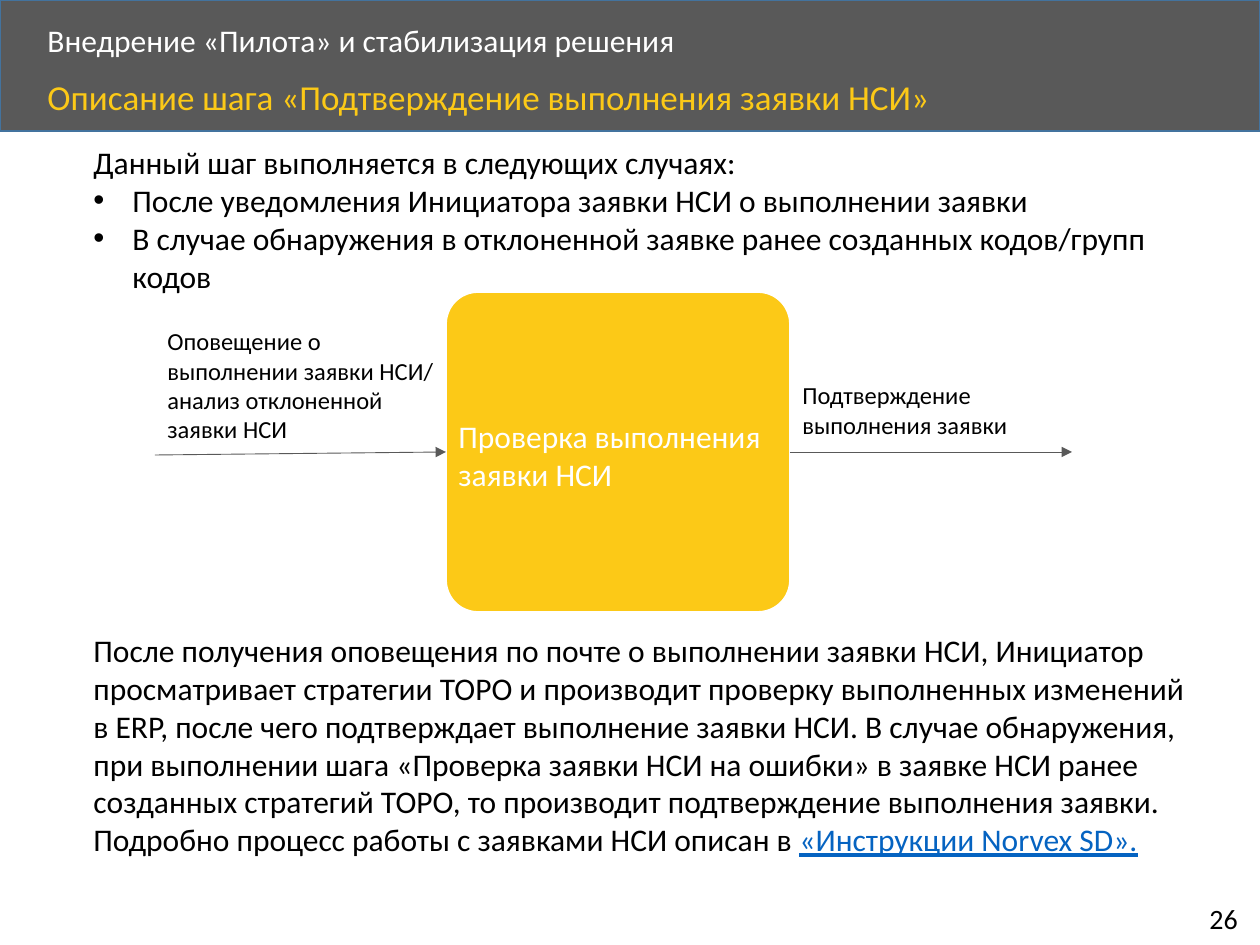
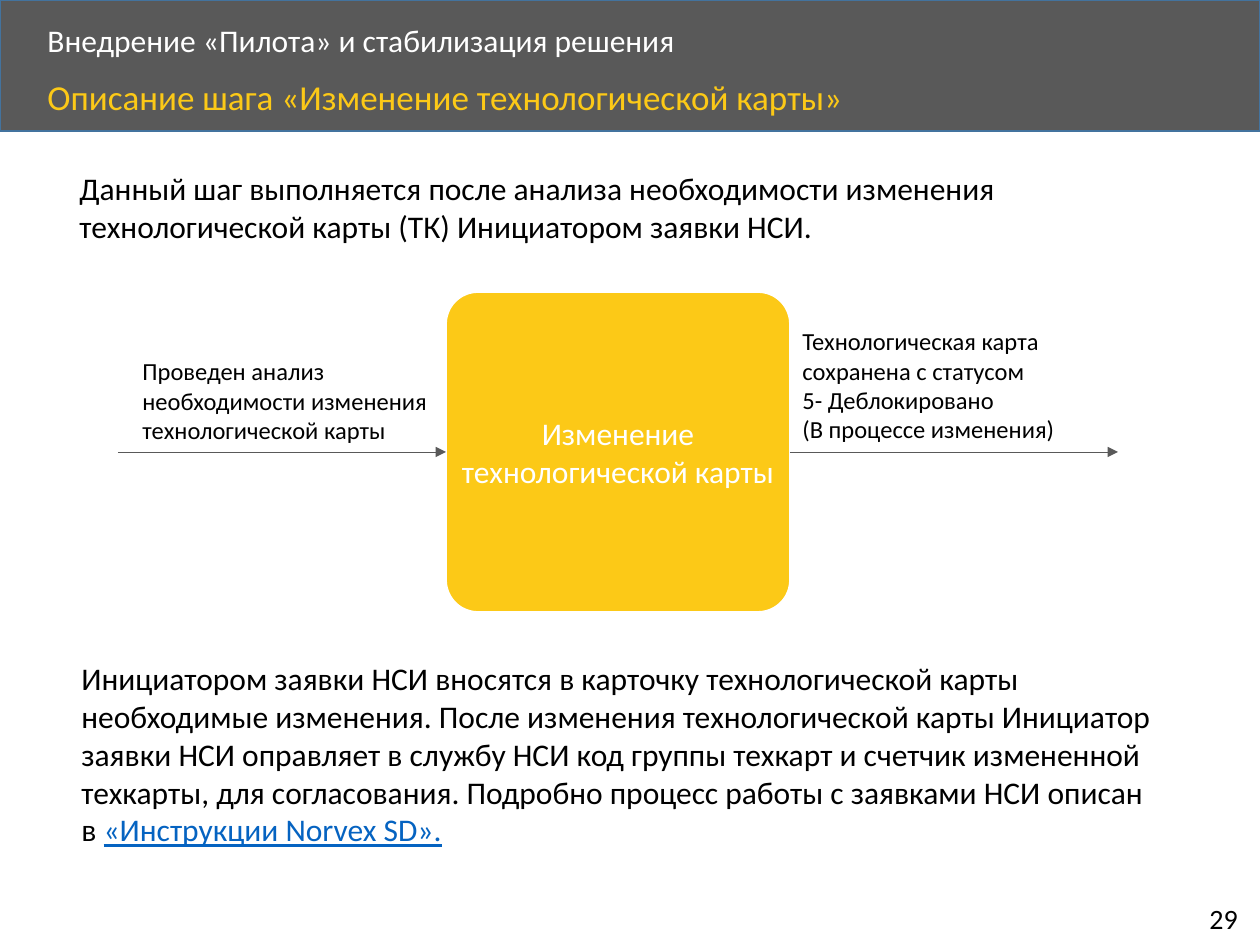
from lxml import etree
from pptx import Presentation
from pptx import util as u
from pptx.dml.color import RGBColor
from pptx.enum import shapes, text
from pptx.oxml.ns import qn

COLOURS = {
    "band": "595959", "band_edge": "43739E", "accent": "FCC917",
    "white": "FFFFFF", "black": "000000", "link": "0563C1",
}
FONT = "Calibri"
EMU_PER_PX = 914400 / 126
STEP_LEFT, STEP_TOP, STEP_WIDTH, STEP_HEIGHT = 446, 292, 344, 320
STEP_RIGHT = STEP_LEFT + STEP_WIDTH
STEP_MIDDLE = STEP_TOP + STEP_HEIGHT // 2
SECTION = "Внедрение «Пилота» и стабилизация решения"
GUIDE = ("«Инструкции Norvex SD».", "link")


def px(value):
    return u.Emu(round(value * EMU_PER_PX))


def colour(name):
    return RGBColor.from_string(COLOURS[name])


class Builder:
    def __init__(self):
        self.deck = Presentation()
        self.deck.slide_width, self.deck.slide_height = px(1260), px(945)
        self.page = None

    def new_page(self, heading, number):
        self.page = self.deck.slides.add_slide(self.deck.slide_layouts[6])
        self.shape(shapes.MSO_SHAPE.RECTANGLE, 0, 0, 1260, 131, "band", "band_edge")
        self.label(35, 18, 1017, 48, [SECTION], ink="white", middle=True, spacing=0.9)
        self.label(1197, 895, 58, 47, [number], size=16, wrap=False)
        self.label(35, 74, 1092, 57, [heading], size=20, ink="accent", spacing=0.9)

    def shape(self, kind, left, top, width, height, fill, edge):
        shape = self.page.shapes.add_shape(kind, px(left), px(top), px(width), px(height))
        shape.shadow.inherit = False
        shape.fill.solid()
        shape.fill.fore_color.rgb = colour(fill)
        shape.line.color.rgb = colour(edge)
        shape.line.width = u.Pt(1)
        return shape

    def label(self, left, top, width, height, paras, size=18, ink="black",
              middle=False, centred=False, spacing=None, wrap=True, bullets_from=None):
        box = self.page.shapes.add_textbox(px(left), px(top), px(width), px(height))
        frame = box.text_frame
        frame.word_wrap = wrap
        anchor = text.MSO_ANCHOR
        frame.vertical_anchor = anchor.MIDDLE if middle else anchor.TOP
        for index, content in enumerate(paras):
            para = frame.add_paragraph() if index else frame.paragraphs[0]
            if bullets_from is not None and index >= bullets_from:
                self.bullet(para)
            if centred:
                para.alignment = text.PP_ALIGN.CENTER
            if spacing:
                para.line_spacing = spacing
            spans = [(content, ink)] if isinstance(content, str) else content
            for words, span_ink in spans:
                span = para.add_run()
                span.text = words
                span.font.name = FONT
                span.font.size = u.Pt(size)
                span.font.color.rgb = colour(span_ink)
                if span_ink == "link":
                    span.font.underline = True

    def bullet(self, para):
        props = para._p.get_or_add_pPr()
        props.set("marL", str(px(39)))
        props.set("indent", str(px(-39)))
        etree.SubElement(props, qn("a:buFont"), typeface="Arial")
        etree.SubElement(props, qn("a:buChar"), char="•")

    def arrow(self, start_x, start_y, end_x, end_y):
        arrow = self.page.shapes.add_connector(
            shapes.MSO_CONNECTOR.STRAIGHT, px(start_x), px(start_y), px(end_x), px(end_y))
        arrow.line.color.rgb = colour("band")
        arrow.line.width = u.Pt(0.5)
        etree.SubElement(arrow.line._get_or_add_ln(), qn("a:tailEnd"), type="triangle")
        etree.SubElement(arrow._element.spPr, qn("a:effectLst"))

    def step(self, name, arrow_from, arrow_to, centred=False, drop=0):
        block = self.shape(shapes.MSO_SHAPE.ROUNDED_RECTANGLE, STEP_LEFT, STEP_TOP,
                           STEP_WIDTH, STEP_HEIGHT, "accent", "white")
        block.adjustments[0] = 0.1
        self.arrow(*arrow_from, STEP_LEFT, STEP_MIDDLE)
        self.arrow(STEP_RIGHT, STEP_MIDDLE, *arrow_to)
        self.label(STEP_LEFT, STEP_TOP + drop, STEP_WIDTH, STEP_HEIGHT, [name],
                   ink="white", middle=True, centred=centred)


def confirmation_page(builder):
    builder.new_page("Описание шага «Подтверждение выполнения заявки НСИ»", "26")
    builder.label(81, 137, 1103, 165, [
        "Данный шаг выполняется в следующих случаях:",
        "После уведомления Инициатора заявки НСИ о выполнении заявки",
        "В случае обнаружения в отклоненной заявке ранее созданных кодов/групп кодов",
    ], bullets_from=1)
    builder.step("Проверка выполнения заявки НСИ", (155, 455), (1072, STEP_MIDDLE), drop=3)
    builder.label(155, 320, 291, 131, [
        "Оповещение о выполнении заявки НСИ/ анализ отклоненной заявки НСИ"], size=14)
    builder.label(STEP_RIGHT, 374, 237, 72, ["Подтверждение выполнения заявки"], size=14)
    builder.label(81, 625, 1128, 280, [[(
        "После получения оповещения по почте о выполнении заявки НСИ, Инициатор "
        "просматривает стратегии ТОРО и производит проверку выполненных изменений "
        "в ERP, после чего подтверждает выполнение заявки НСИ. В случае обнаружения, "
        "при выполнении шага «Проверка заявки НСИ на ошибки» в заявке НСИ ранее "
        "созданных стратегий ТОРО, то производит подтверждение выполнения заявки. "
        "Подробно процесс работы c заявками НСИ описан в ", "black"), GUIDE]])


def routing_page(builder):
    builder.new_page("Описание шага «Изменение технологической карты»", "29")
    builder.label(67, 163, 1119, 89, [
        "Данный шаг выполняется после анализа необходимости изменения "
        "технологической карты (ТК) Инициатором заявки НСИ."])
    builder.step("Изменение технологической карты", (118, STEP_MIDDLE),
                 (1118, STEP_MIDDLE), centred=True)
    builder.label(130, 350, 325, 102, [
        "Проведен анализ необходимости изменения технологической карты"], size=14)
    builder.label(STEP_RIGHT, 320, 294, 131, [
        "Технологическая карта сохранена с статусом",
        "5- Деблокировано",
        "(В процессе изменения)",
    ], size=14)
    builder.label(69, 653, 1097, 197, [[(
        "Инициатором заявки НСИ вносятся в карточку технологической карты "
        "необходимые изменения. После изменения технологической карты Инициатор "
        "заявки НСИ оправляет в службу НСИ код группы техкарт и счетчик измененной "
        "техкарты, для согласования. Подробно процесс работы c заявками НСИ описан "
        "в ", "black"), GUIDE]])


def main():
    builder = Builder()
    confirmation_page(builder)
    routing_page(builder)
    builder.deck.save("out.pptx")


if __name__ == "__main__":
    main()
